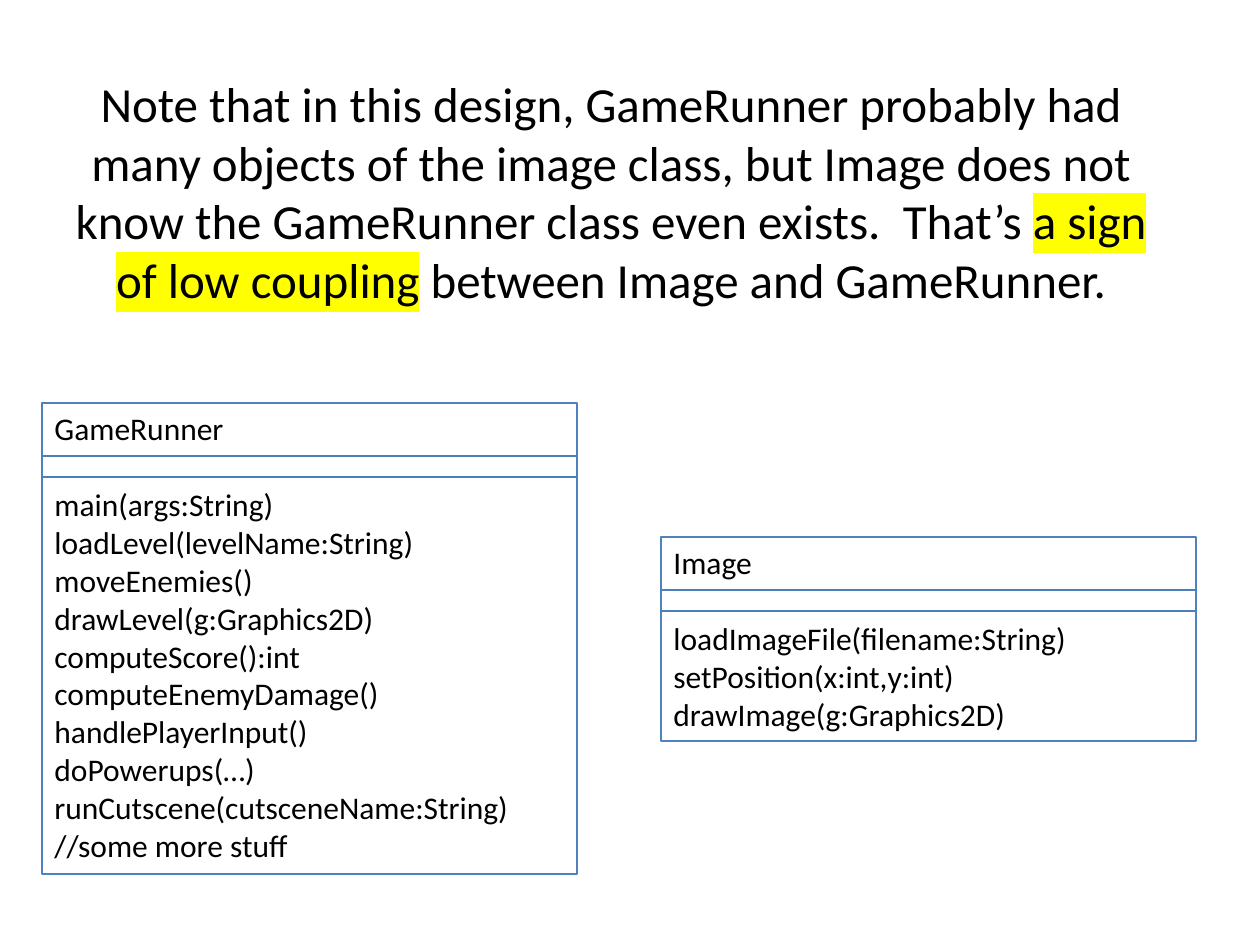
from lxml import etree
from pptx import Presentation
from pptx.dml.color import RGBColor
from pptx.enum.shapes import MSO_CONNECTOR, MSO_SHAPE
from pptx.enum.text import MSO_ANCHOR, PP_ALIGN
from pptx.oxml.ns import qn
from pptx.util import Emu, Pt

NOTE = [  # text, highlighted
    ("Note that in this design, GameRunner probably had many objects of the image "
     "class, but Image does not know the GameRunner class even exists.  That’s ", False),
    ("a sign of low coupling", True),
    (" between Image and GameRunner.", False),
]
NOTE_BOX = (44, 21, 1134, 340)

CLASSES = [  # name, box in px, methods
    ("GameRunner", (42, 403, 535, 471), [
        "main(args:String)",
        "loadLevel(levelName:String)",
        "moveEnemies()",
        "drawLevel(g:Graphics2D)",
        "computeScore():int",
        "computeEnemyDamage()",
        "handlePlayerInput()",
        "doPowerups(…)",
        "runCutscene(cutsceneName:String)",
        "//some more stuff",
    ]),
    ("Image", (661, 537, 535, 204), [
        "loadImageFile(filename:String)",
        "setPosition(x:int,y:int)",
        "drawImage(g:Graphics2D)",
    ]),
]
DIVIDERS = (53, 74)  # px below the top of a class box
FONT, TEXT = "Calibri", "000000"
BORDER, DIVIDER, MARK = "4F81BD", "4B7EBC", "FFFF00"


def px(n):
    return Emu(round(n * 914400 / 126))


def rgb(value):
    return RGBColor.from_string(value)


def set_font(p, size):
    p.font.name = FONT
    p.font.size = Pt(size)
    p.font.color.rgb = rgb(TEXT)


def set_line(s, color):
    s.line.color.rgb = rgb(color)
    s.line.width = Pt(0.75)


def highlight(r):
    mark = etree.SubElement(r.font._element, qn("a:highlight"))
    etree.SubElement(mark, qn("a:srgbClr"), val=MARK)


def add_note(shapes):
    tf = shapes.add_textbox(*map(px, NOTE_BOX)).text_frame
    tf.word_wrap = True
    tf.vertical_anchor = MSO_ANCHOR.MIDDLE
    p = tf.paragraphs[0]
    p.alignment = PP_ALIGN.CENTER
    set_font(p, 28)
    for text, marked in NOTE:
        r = p.add_run()
        r.text = text
        if marked:
            highlight(r)


def add_class(shapes, name, box, methods):
    """Draw a UML class: a name, an empty attribute row and the methods."""
    group = shapes.add_group_shape().shapes
    sp = group.add_shape(MSO_SHAPE.RECTANGLE, *map(px, box))
    sp.shadow.inherit = False
    sp.fill.background()
    set_line(sp, BORDER)
    tf = sp.text_frame
    tf.word_wrap = True
    tf.vertical_anchor = MSO_ANCHOR.TOP
    for i, text in enumerate([name, *methods]):
        p = tf.add_paragraph() if i else tf.paragraphs[0]
        p.text = text
        p.alignment = PP_ALIGN.LEFT
        if i == 1:
            p.space_before = Pt(22)
        set_font(p, 18)

    x, y, w, _ = box
    for dy in DIVIDERS:
        line = group.add_connector(MSO_CONNECTOR.STRAIGHT,
                                   *map(px, (x, y + dy, x + w, y + dy)))
        set_line(line, DIVIDER)
        etree.SubElement(line._element.spPr, qn("a:effectLst"))


def main():
    prs = Presentation()
    prs.slide_width, prs.slide_height = px(1260), px(945)
    s = prs.slides.add_slide(prs.slide_layouts[6])
    add_note(s.shapes)
    for uml_class in CLASSES:
        add_class(s.shapes, *uml_class)
    prs.save("out.pptx")


if __name__ == "__main__":
    main()
